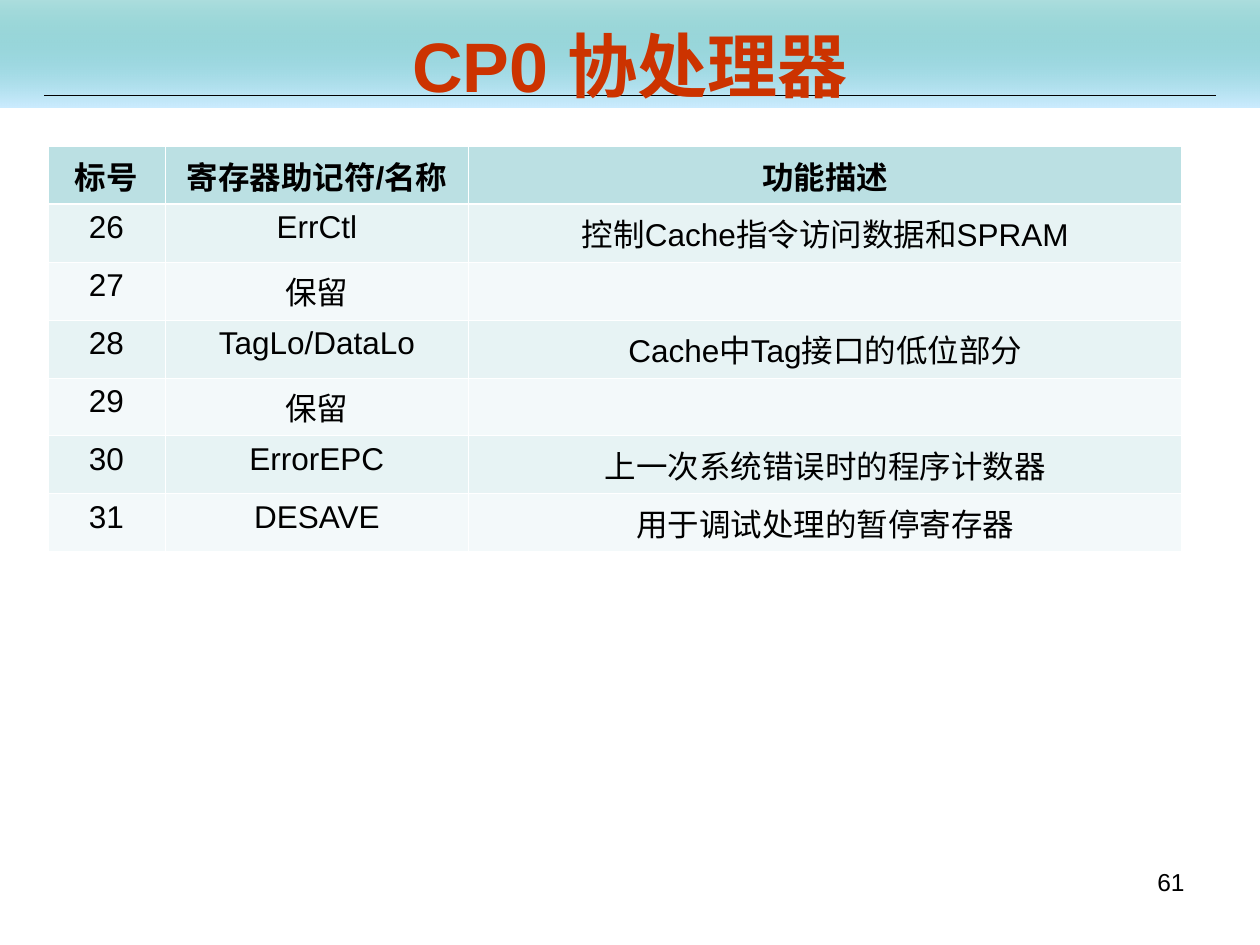
import pptx
import pptx.util
import pptx.dml.color
import pptx.enum.shapes
import pptx.enum.text
import pptx.oxml.ns
import lxml.etree

Inches = pptx.util.Inches
Pt = pptx.util.Pt
align = pptx.enum.text.PP_ALIGN
qn = pptx.oxml.ns.qn


def color(code):
    return pptx.dml.color.RGBColor.from_string(code)


def write(frame, text, size, side, tint="000000", bold=False):
    frame.text = text
    para = frame.paragraphs[0]
    para.alignment = side
    font = para.runs[0].font if para.runs else para.font
    font.name = "Arial"
    font.size = Pt(size)
    font.bold = bold
    font.color.rgb = color(tint)


deck = pptx.Presentation()
deck.slide_width = Inches(10)
deck.slide_height = Inches(7.5)
slide = deck.slides.add_slide(deck.slide_layouts[6])
shapes = slide.shapes

band = shapes.add_shape(pptx.enum.shapes.MSO_SHAPE.RECTANGLE, 0, 0, Inches(10), Inches(0.85))
band.shadow.inherit = False
band.line.fill.background()
band.fill.gradient()
band.fill.gradient_angle = 270
for stop, place, code in zip(band.fill.gradient_stops, (0, 1), ("009999", "CCECFF")):
    stop.position = place
    stop.color.rgb = color(code)
tint = next(band._element.spPr.iter(qn("a:srgbClr")))
lxml.etree.SubElement(tint, qn("a:alpha"), val="32000")

rule = shapes.add_connector(
    pptx.enum.shapes.MSO_CONNECTOR.STRAIGHT,
    Inches(0.35), Inches(0.76), Inches(9.65), Inches(0.76))
rule.line.color.rgb = color("000000")
rule.line.width = Pt(0.75)
lxml.etree.SubElement(rule._element.spPr, qn("a:effectLst"))

title = shapes.add_textbox(Inches(0.5), Inches(0.21), Inches(9), Inches(0.61))
title.text_frame.word_wrap = True
title.text_frame.vertical_anchor = pptx.enum.text.MSO_ANCHOR.MIDDLE
write(title.text_frame, "CP0 协处理器", 40, align.CENTER, "CC3300", True)

rows = [
    ("标号", "寄存器助记符/名称", "功能描述"),
    ("26", "ErrCtl", "控制Cache指令访问数据和SPRAM"),
    ("27", "保留", ""),
    ("28", "TagLo/DataLo", "Cache中Tag接口的低位部分"),
    ("29", "保留", ""),
    ("30", "ErrorEPC", "上一次系统错误时的程序计数器"),
    ("31", "DESAVE", "用于调试处理的暂停寄存器"),
]
table = shapes.add_table(
    len(rows), 3, Inches(0.38), Inches(1.16), Inches(9), Inches(3.22)).table
for col, width in zip(table.columns, (0.93, 2.41, 5.66)):
    col.width = Inches(width)

for i, row in enumerate(rows):
    table.rows[i].height = Inches(0.46)
    fill = "BBE0E3" if i == 0 else "E7F3F4" if i % 2 else "F3F9FA"
    thick = {0: "lnB", 1: "lnT"}.get(i)
    for j, text in enumerate(row):
        cell = table.cell(i, j)
        write(cell.text_frame, text, 18, align.CENTER, bold=i == 0)
        props = cell._tc.get_or_add_tcPr()
        for edge in ("lnL", "lnR", "lnT", "lnB"):
            width = Pt(1.47 if edge == thick else 0.45)
            line = lxml.etree.SubElement(props, qn("a:" + edge), w=str(width))
            solid = lxml.etree.SubElement(line, qn("a:solidFill"))
            lxml.etree.SubElement(solid, qn("a:srgbClr"), val="FFFFFF")
        cell.fill.solid()
        cell.fill.fore_color.rgb = color(fill)

page = shapes.add_textbox(Inches(7.17), Inches(6.83), Inches(2.33), Inches(0.52))
page.text_frame.word_wrap = True
write(page.text_frame, "61", 14, align.RIGHT)

deck.save("out.pptx")
